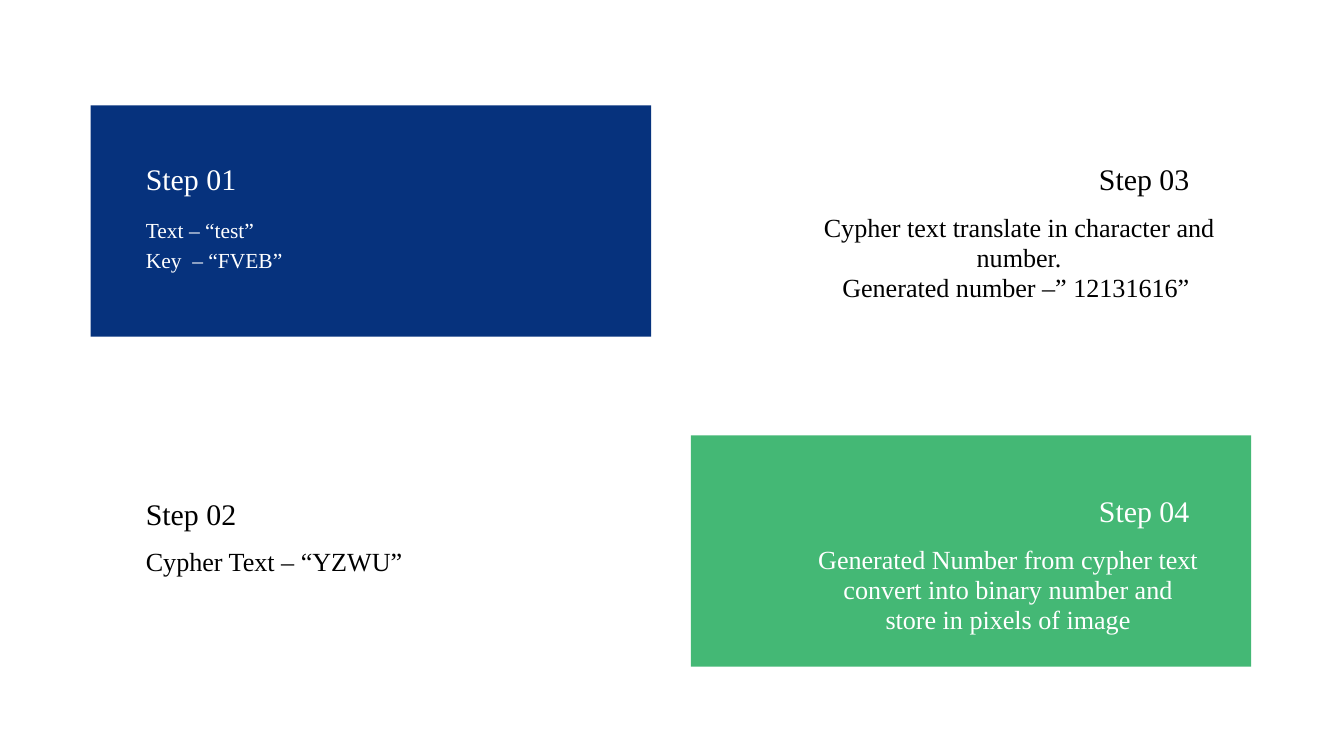
from dataclasses import dataclass

from pptx import Presentation
from pptx.dml.color import RGBColor
from pptx.enum.shapes import MSO_SHAPE
from pptx.enum.text import MSO_AUTO_SIZE, PP_ALIGN
from pptx.util import Inches, Pt


@dataclass(frozen=True)
class Theme:
    font: str = "Times New Roman"
    blue: RGBColor = RGBColor(0x06, 0x32, 0x7D)
    green: RGBColor = RGBColor(0x44, 0xB8, 0x75)
    white: RGBColor = RGBColor(0xFF, 0xFF, 0xFF)
    black: RGBColor = RGBColor(0x00, 0x00, 0x00)
    heading: int = 32
    body: int = 28
    small: int = 23
    heading_spacing: float = 44.8
    body_spacing: float = 32.2


theme = Theme()


def add_text(slide, box, lines, size, spacing, color, align):
    tb = slide.shapes.add_textbox(*map(Inches, box))
    tf = tb.text_frame
    tf.word_wrap = True
    tf.auto_size = MSO_AUTO_SIZE.SHAPE_TO_FIT_TEXT
    tf.margin_left = tf.margin_right = tf.margin_top = tf.margin_bottom = 0
    tf.text = "\n".join(lines)
    for p in tf.paragraphs:
        p.alignment = align
        p.line_spacing = Pt(spacing)
        p.font.name = theme.font
        p.font.size = Pt(size)
        p.font.color.rgb = color


prs = Presentation()
prs.slide_width, prs.slide_height = Inches(20), Inches(11.25)
s = prs.slides.add_slide(prs.slide_layouts[6])

for left, top, color in [(1.35, 1.57, theme.blue), (10.28, 6.48, theme.green)]:
    panel = s.shapes.add_shape(
        MSO_SHAPE.RECTANGLE, Inches(left), Inches(top), Inches(8.34), Inches(3.44)
    )
    panel.shadow.inherit = False
    panel.fill.solid()
    panel.fill.fore_color.rgb = color
    panel.line.fill.background()

LEFT, CENTER, RIGHT = PP_ALIGN.LEFT, PP_ALIGN.CENTER, PP_ALIGN.RIGHT

# heading, its left, top and alignment, colour, body box, size and alignment, lines
steps = [
    ("Step 01", 2.17, 2.3, LEFT, theme.white,
     (2.17, 3.16, 5.68, 0.86), theme.small, LEFT,
     ["Text – “test”", "Key  – “FVEB”"]),
    ("Step 02", 2.17, 7.29, LEFT, theme.black,
     (2.17, 8.14, 5.68, 0.45), theme.body, LEFT,
     ["Cypher Text – “YZWU”"]),
    ("Step 03", 12.29, 2.3, RIGHT, theme.black,
     (12.16, 3.16, 6.01, 1.35), theme.body, CENTER,
     ["Cypher text translate in character and number.",
      "Generated number –” 12131616” "]),
    ("Step 04", 12.29, 7.24, RIGHT, theme.white,
     (12.16, 8.1, 5.68, 1.35), theme.body, CENTER,
     ["Generated Number from cypher text convert into binary number and "
      "store in pixels of image"]),
]

for heading, left, top, heading_align, color, body_box, size, body_align, lines in steps:
    add_text(s, body_box, lines, size, theme.body_spacing, color, body_align)
    add_text(s, (left, top, 5.41, 0.58), [heading], theme.heading,
             theme.heading_spacing, color, heading_align)

prs.save("out.pptx")
